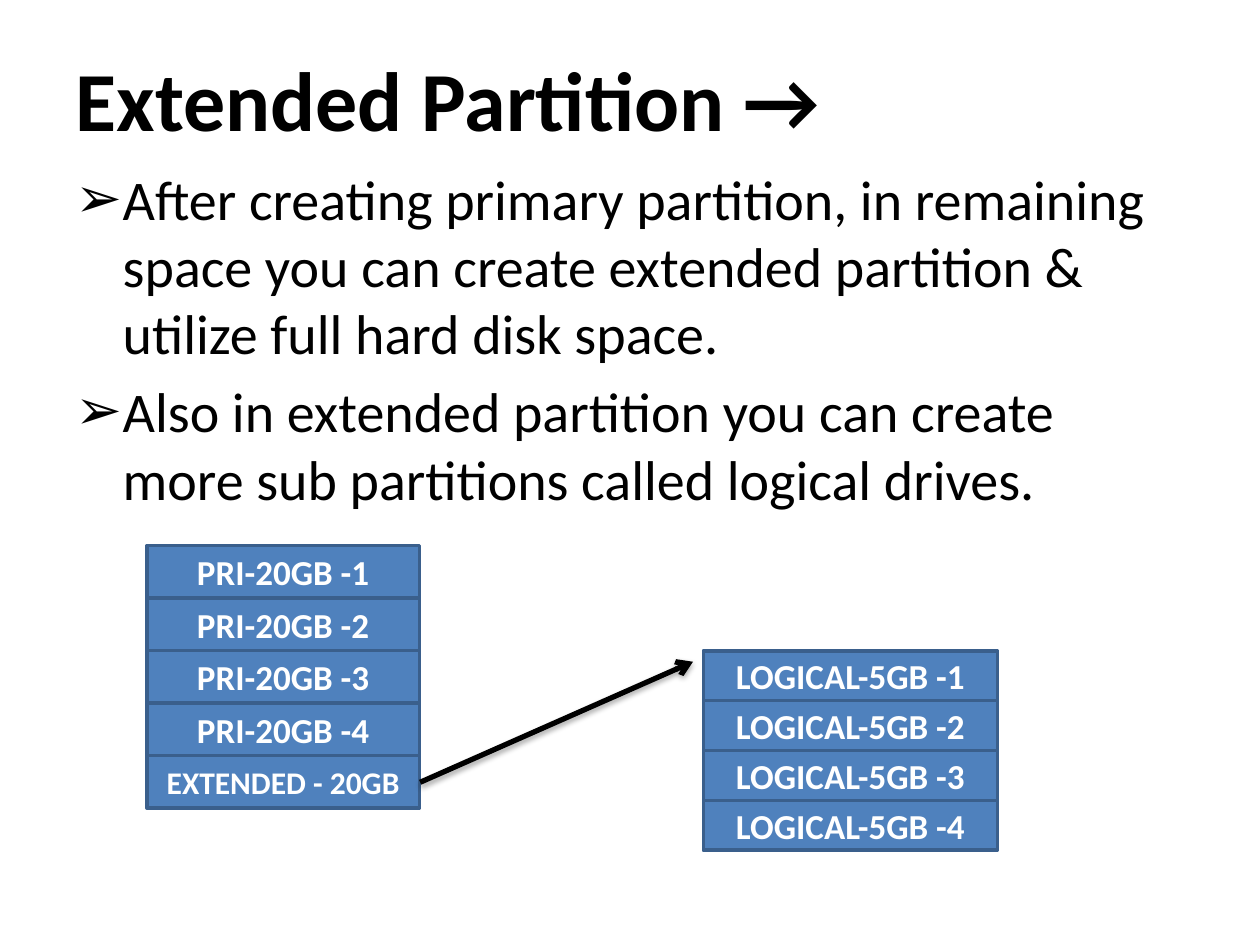
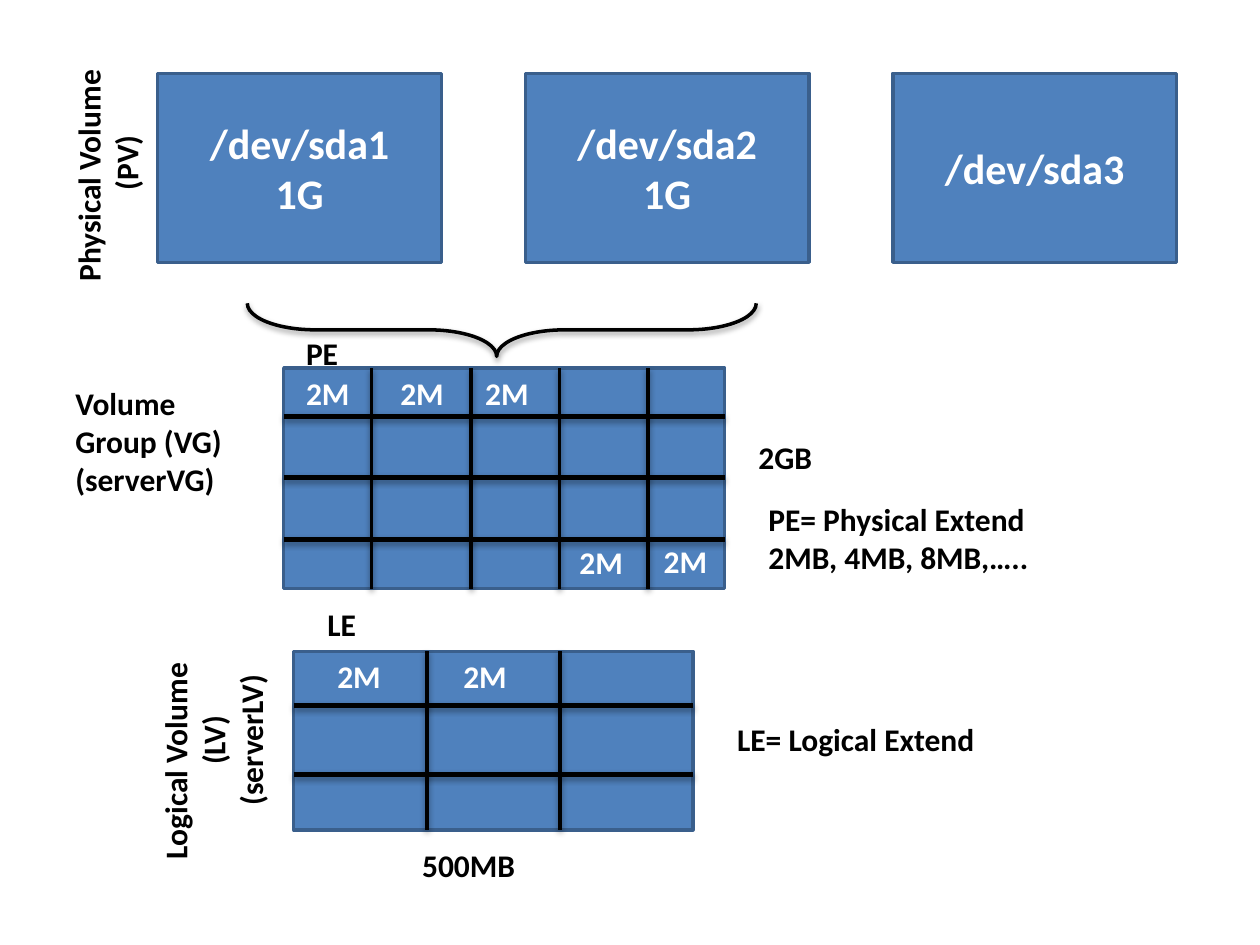
from dataclasses import dataclass
from typing import Any, Optional

import pptx
import pptx.dml.color
import pptx.enum.shapes
import pptx.enum.text
import pptx.oxml
import pptx.oxml.ns
import pptx.util

Cm = pptx.util.Cm
Pt = pptx.util.Pt
qn = pptx.oxml.ns.qn
Align = pptx.enum.text.PP_ALIGN
Anchor = pptx.enum.text.MSO_ANCHOR
Preset = pptx.enum.shapes.MSO_SHAPE


@dataclass(frozen=True)
class Theme:
    font: str = "Calibri"
    ink: str = "000000"
    paper: str = "FFFFFF"
    block: str = "4F81BD"
    border: str = "3A5F8C"
    title: int = 48
    body: int = 32
    disk: int = 24
    partition: int = 20
    label: int = 18
    thin: int = 2
    thick: int = 3


THEME = Theme()


@dataclass(frozen=True)
class Box:
    """Place and size in centimetres."""
    left: float
    top: float
    width: float
    height: float

    def emu(self) -> tuple:
        return Cm(self.left), Cm(self.top), Cm(self.width), Cm(self.height)


@dataclass(frozen=True)
class Partition:
    name: str
    size: int = THEME.partition


@dataclass(frozen=True)
class Grid:
    """A block split by rules at the given x and y positions."""
    box: Box
    columns: list[float]
    rows: list[float]


@dataclass(frozen=True)
class Label:
    box: Box
    lines: list[str]
    color: str = THEME.ink
    upright: bool = False


def rgb(color: str) -> pptx.dml.color.RGBColor:
    return pptx.dml.color.RGBColor.from_string(color)


def add_run(paragraph: Any, text: str, size: int, color: str, bold: bool = True) -> None:
    run = paragraph.add_run()
    run.text = text
    run.font.name = THEME.font
    run.font.size = Pt(size)
    run.font.bold = bold
    run.font.color.rgb = rgb(color)


def next_paragraph(frame: Any, index: int) -> Any:
    return frame.paragraphs[0] if index == 0 else frame.add_paragraph()


def place(shape: Any, box: Box) -> None:
    shape.left, shape.top, shape.width, shape.height = box.emu()


def cast_shadow(shape: Any, width: int) -> None:
    """Replace any effects with a soft downward shadow suited to the line width."""
    distance, opacity = (23000, 35000) if width == THEME.thick else (20000, 38000)
    properties = shape._element.spPr
    for effects in properties.findall(qn("a:effectLst")):
        properties.remove(effects)
    properties.append(pptx.oxml.parse_xml(
        f'<a:effectLst {pptx.oxml.ns.nsdecls("a")}>'
        f'<a:outerShdw blurRad="40000" dist="{distance}" dir="5400000" rotWithShape="0">'
        f'<a:srgbClr val="{THEME.ink}"><a:alpha val="{opacity}"/></a:srgbClr>'
        '</a:outerShdw></a:effectLst>'))


def draw_block(shapes: Any, box: Box, lines: list[str], size: int = THEME.partition) -> None:
    block = shapes.add_shape(Preset.RECTANGLE, *box.emu())
    block.shadow.inherit = False
    block.fill.solid()
    block.fill.fore_color.rgb = rgb(THEME.block)
    block.line.color.rgb = rgb(THEME.border)
    block.line.width = Pt(THEME.thin)
    frame = block.text_frame
    frame.vertical_anchor = Anchor.MIDDLE
    for index, line in enumerate(lines):
        paragraph = next_paragraph(frame, index)
        paragraph.alignment = Align.CENTER
        add_run(paragraph, line, size, THEME.paper)


def draw_rule(shapes: Any, start: tuple[float, float], end: tuple[float, float],
              width: int, arrow: bool = False) -> None:
    rule = shapes.add_connector(pptx.enum.shapes.MSO_CONNECTOR.STRAIGHT,
                                Cm(start[0]), Cm(start[1]), Cm(end[0]), Cm(end[1]))
    rule.line.color.rgb = rgb(THEME.ink)
    rule.line.width = Pt(width)
    if arrow:
        outline = rule._element.spPr.find(qn("a:ln"))
        outline.append(pptx.oxml.parse_xml(
            f'<a:tailEnd {pptx.oxml.ns.nsdecls("a")} type="arrow"/>'))
    cast_shadow(rule, width)


def draw_stack(slide: Any, box: Box, partitions: list[Partition]) -> None:
    """Fill the box with equally high partitions, top to bottom."""
    stack = slide.shapes.add_group_shape().shapes
    height = box.height / len(partitions)
    for index, partition in enumerate(partitions):
        draw_block(stack, Box(box.left, box.top + index * height, box.width, height),
                   [partition.name], partition.size)


def draw_grid(slide: Any, grid: Grid) -> None:
    cells = slide.shapes.add_group_shape().shapes
    box = grid.box
    right, bottom = box.left + box.width, box.top + box.height
    draw_block(cells, box, [])
    for y in grid.rows:
        draw_rule(cells, (box.left, y), (right, y), THEME.thick)
    for x in grid.columns:
        draw_rule(cells, (x, box.top), (x, bottom), THEME.thin)


def draw_brace(slide: Any, box: Box) -> None:
    """Draw a brace that opens upwards over the disks it joins."""
    brace = slide.shapes.add_shape(Preset.RIGHT_BRACE, *box.emu())
    brace.rotation = 90
    brace.adjustments[0] = 1.28
    brace.adjustments[1] = 0.51
    brace.fill.background()
    brace.line.color.rgb = rgb(THEME.ink)
    brace.line.width = Pt(THEME.thin)
    cast_shadow(brace, THEME.thin)


def draw_label(slide: Any, label: Label) -> None:
    """Write a label; an upright one reads upwards with its later lines centred."""
    text = slide.shapes.add_textbox(*label.box.emu())
    frame = text.text_frame
    frame.word_wrap = True
    frame.auto_size = pptx.enum.text.MSO_AUTO_SIZE.SHAPE_TO_FIT_TEXT
    if label.upright:
        frame._txBody.bodyPr.set("vert", "vert270")
    for index, line in enumerate(label.lines):
        paragraph = next_paragraph(frame, index)
        paragraph.alignment = Align.CENTER if label.upright and index else Align.LEFT
        add_run(paragraph, line, THEME.label, label.color)


def write_title(slide: Any, box: Box, text: str) -> None:
    title = slide.shapes.title
    place(title, box)
    title.text_frame.vertical_anchor = Anchor.MIDDLE
    paragraph = title.text_frame.paragraphs[0]
    paragraph.alignment = Align.LEFT
    add_run(paragraph, text, THEME.title, THEME.ink)


def write_bullets(slide: Any, box: Box, points: list[str]) -> None:
    body = slide.placeholders[1]
    place(body, box)
    frame = body.text_frame
    frame.auto_size = pptx.enum.text.MSO_AUTO_SIZE.NONE
    for index, point in enumerate(points):
        paragraph = next_paragraph(frame, index)
        properties = paragraph._p.get_or_add_pPr()
        properties.set("marL", str(Cm(0.95)))
        properties.set("indent", str(-Cm(0.95)))
        properties.append(pptx.oxml.parse_xml(
            f'<a:buChar {pptx.oxml.ns.nsdecls("a")} char="➢"/>'))
        paragraph.space_before = Pt(0.2 * THEME.body if index else 0)
        add_run(paragraph, point, THEME.body, THEME.ink, bold=False)


def build_extended_partition(deck: Any) -> None:
    slide = deck.slides.add_slide(deck.slide_layouts[1])
    write_title(slide, Box(1.27, 0.76, 22.86, 2.41), "Extended Partition →")
    write_bullets(slide, Box(1.27, 3.18, 22.86, 14.81), [
        "After creating primary partition, in remaining space you can create "
        "extended partition & utilize full hard disk space.",
        "Also in extended partition you can create more sub partitions called logical drives.",
    ])
    primary = [Partition(f"PRI-20GB -{number}") for number in range(1, 5)]
    extended = Partition("EXTENDED - 20GB", THEME.label)
    draw_stack(slide, Box(2.96, 11, 5.5, 5.29), [*primary, extended])
    logical = [Partition(f"LOGICAL-5GB -{number}") for number in range(1, 5)]
    draw_stack(slide, Box(14.18, 13.12, 5.93, 4.02), logical)
    draw_rule(slide.shapes, (8.47, 15.77), (13.97, 13.34), THEME.thick, arrow=True)


def extent(left: float, top: float) -> Label:
    return Label(Box(left, top, 1.9, 1.02), ["2M"], THEME.paper)


def build_volumes(deck: Any) -> None:
    slide = deck.slides.add_slide(deck.slide_layouts[6])
    disks = [["/dev/sda1", "1G"], ["/dev/sda2", "1G"], ["/dev/sda3"]]
    for index, disk in enumerate(disks):
        draw_block(slide.shapes, Box(3.18 + index * 7.41, 1.48, 5.72, 3.81), disk, THEME.disk)
    draw_brace(slide, Box(9.58, 1.52, 1.07, 10.26))

    volume_group = Box(5.72, 7.42, 8.89, 4.45)
    draw_grid(slide, Grid(volume_group, [7.49, 9.5, 11.28, 13.06],
                          [8.39 + row * 1.24 for row in range(3)]))
    logical_volume = Box(5.92, 13.13, 8.05, 3.6)
    thirds = [logical_volume.left + logical_volume.width * part / 3 for part in (1, 2)]
    draw_grid(slide, Grid(logical_volume, thirds, [14.22, 15.61]))

    physical_extents = [(5.92, 7.42), (7.82, 7.42), (9.53, 7.42), (11.43, 10.82), (13.13, 10.8)]
    logical_extents = [(6.55, 13.13), (9.09, 13.13)]
    for left, top in physical_extents + logical_extents:
        draw_label(slide, extent(left, top))

    labels: list[Label] = [
        Label(Box(1.27, 7.62, 4.02, 2.57), ["Volume Group (VG) (serverVG)"]),
        Label(Box(1.27, 0.64, 2.06, 5.29), ["Physical Volume", "(PV)"], upright=True),
        Label(Box(3.02, 12.28, 2.82, 5.29), ["Logical Volume", "(LV)", "(serverLV)"], upright=True),
        Label(Box(14.61, 14.4, 5.93, 1.02), ["LE= Logical Extend"]),
        Label(Box(6.35, 12.07, 1.27, 1.02), ["LE"]),
        Label(Box(5.92, 6.6, 1.27, 1.02), ["PE"]),
        Label(Box(15.04, 8.71, 1.9, 1.02), ["2GB"]),
        Label(Box(8.26, 16.94, 2.75, 1.02), ["500MB"]),
        Label(Box(15.24, 9.96, 5.93, 1.8), ["PE= Physical Extend", "2MB, 4MB, 8MB,….."]),
    ]
    for label in labels:
        draw_label(slide, label)


def main() -> None:
    deck = pptx.Presentation()
    deck.slide_width, deck.slide_height = Cm(25.4), Cm(19.05)
    build_extended_partition(deck)
    build_volumes(deck)
    deck.save("out.pptx")


if __name__ == "__main__":
    main()
